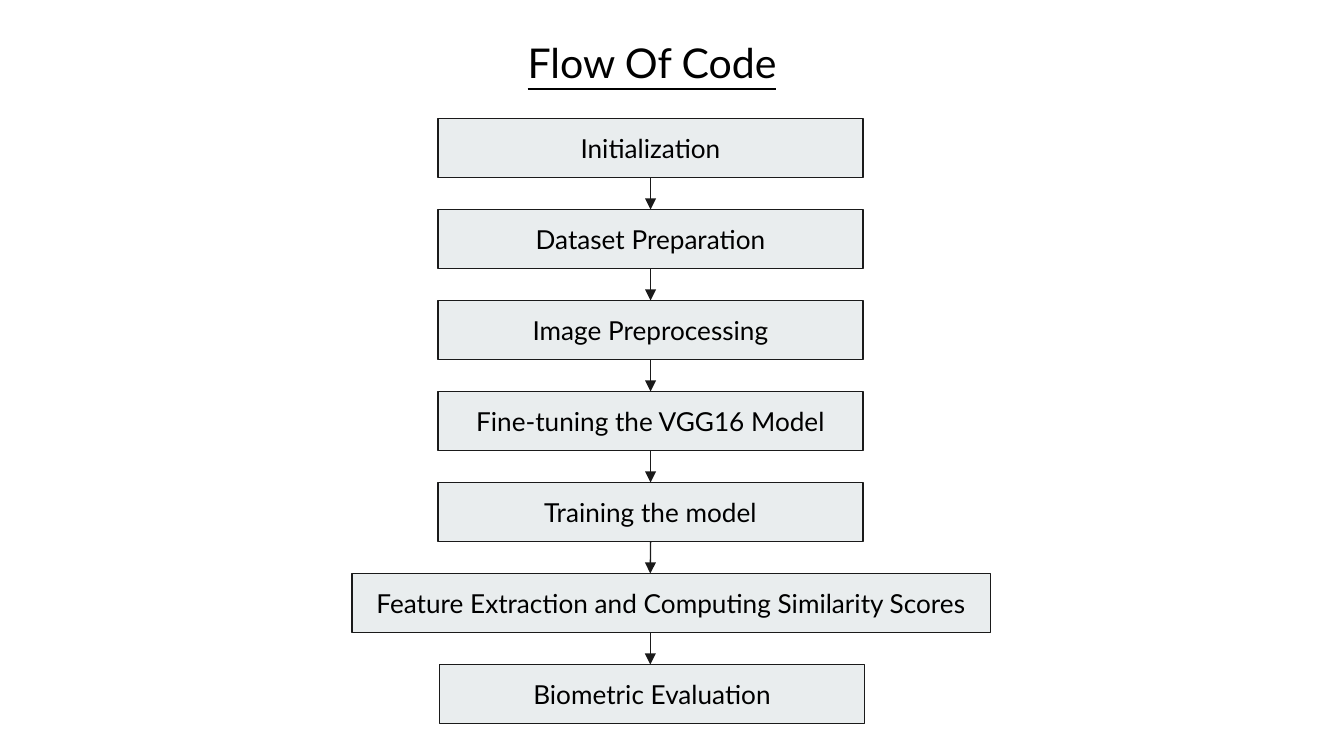
from pptx import Presentation
from pptx.dml.color import RGBColor
from pptx.enum import shapes, text
from pptx.oxml import ns, xmlchemy
from pptx.util import Cm, Pt

BLACK = RGBColor(0x00, 0x00, 0x00)
INK = RGBColor(0x1A, 0x1A, 0x1A)
PALE = RGBColor(0xE9, 0xED, 0xEE)

LEFT, WIDTH, HEIGHT = 8.28, 8.03, 1.12
TOP, STEP = 2.24, 1.72
AXIS = 12.29

STEPS = [
    ("Initialization", LEFT, WIDTH),
    ("Dataset Preparation", LEFT, WIDTH),
    ("Image Preprocessing", LEFT, WIDTH),
    ("Fine-tuning the VGG16 Model", LEFT, WIDTH),
    ("Training the model", LEFT, WIDTH),
    ("Feature Extraction and Computing Similarity Scores", 6.65, 12.07),
    ("Biometric Evaluation", 8.31, WIDTH),
]


class Flow:
    face = "Lato"

    def __init__(self, slide):
        self.slide = slide

    def label(self, shape, words, size, anchor):
        frame = shape.text_frame
        frame.text = words
        frame.word_wrap = True
        frame.auto_size = text.MSO_AUTO_SIZE.NONE
        frame.vertical_anchor = anchor
        frame.margin_left = frame.margin_right = Cm(0.25)
        frame.margin_top = frame.margin_bottom = Cm(0.25)
        line = frame.paragraphs[0]
        line.alignment = text.PP_ALIGN.CENTER
        line.font.name = self.face
        line.font.size = Pt(size)
        line.font.color.rgb = BLACK
        return line

    def title(self, words, left, top, width, height):
        shape = self.slide.shapes.title
        shape.left, shape.top = Cm(left), Cm(top)
        shape.width, shape.height = Cm(width), Cm(height)
        line = self.label(shape, words, 22, text.MSO_ANCHOR.TOP)
        line.font.underline = True

    def box(self, words, left, top, width):
        shape = self.slide.shapes.add_shape(
            shapes.MSO_SHAPE.RECTANGLE,
            Cm(left), Cm(top), Cm(width), Cm(HEIGHT))
        shape.shadow.inherit = False
        shape.fill.solid()
        shape.fill.fore_color.rgb = PALE
        shape.line.color.rgb = INK
        shape.line.width = Pt(0.75)
        self.label(shape, words, 14, text.MSO_ANCHOR.MIDDLE)
        return shape

    def arrow(self, start, end):
        line = self.slide.shapes.add_connector(
            shapes.MSO_CONNECTOR.STRAIGHT,
            Cm(AXIS), start.top + start.height, Cm(AXIS), end.top)
        if start.left == Cm(LEFT):
            line.begin_connect(start, 2)
        if end.left == Cm(LEFT):
            line.end_connect(end, 0)
        line.line.color.rgb = INK
        line.line.width = Pt(0.75)
        tip = xmlchemy.OxmlElement("a:tailEnd")
        tip.set("type", "triangle")
        props = line._element.spPr
        props.find(ns.qn("a:ln")).append(tip)
        props.append(xmlchemy.OxmlElement("a:effectLst"))


def main():
    deck = Presentation()
    deck.slide_width, deck.slide_height = Cm(25.4), Cm(14.29)
    flow = Flow(deck.slides.add_slide(deck.slide_layouts[5]))
    flow.title("Flow Of Code", 8.31, 0.46, WIDTH, 1.45)
    boxes = [flow.box(words, left, TOP + row * STEP, width)
             for row, (words, left, width) in enumerate(STEPS)]
    for start, end in zip(boxes, boxes[1:]):
        flow.arrow(start, end)
    deck.save("out.pptx")


if __name__ == "__main__":
    main()
